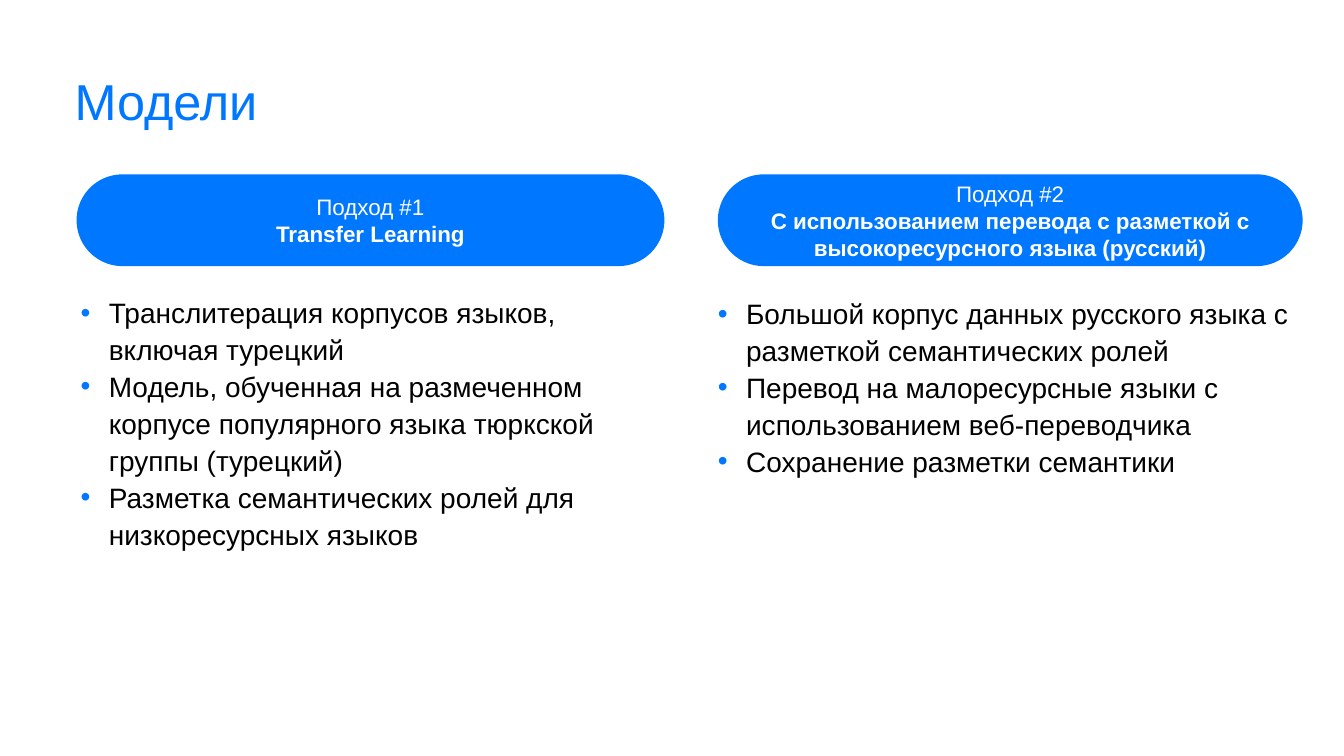
from pptx import Presentation
from pptx.dml.color import RGBColor as RGB
from pptx.enum.shapes import MSO_SHAPE as Shape
from pptx.enum.text import MSO_ANCHOR as Anchor, PP_ALIGN as Align
from pptx.util import Inches, Pt
from lxml.etree import SubElement as Sub
from pptx.oxml.ns import qn

# Content
TITLE = "Модели"
COLS = [
    {
        "head": ("Подход #1", "Transfer Learning"),
        "pill": (0.76, 5.83),
        "list": (0.8, 2.9),
        "items": [
            "Транслитерация корпусов языков, включая турецкий",
            "Модель, обученная на размеченном корпусе популярного языка "
            "тюркской группы (турецкий)",
            "Разметка семантических ролей для низкоресурсных языков",
        ],
    },
    {
        "head": ("Подход #2", "С использованием перевода с разметкой с "
                 "высокоресурсного языка (русский)"),
        "pill": (7.12, 5.8),
        "list": (7.12, 2.91),
        "items": [
            "Большой корпус данных русского языка с разметкой "
            "семантических ролей",
            "Перевод на малоресурсные языки с использованием "
            "веб-переводчика",
            "Сохранение разметки семантики",
        ],
    },
]


# Theme
class Theme:
    font = "Arial"
    blue, black, white = "0077FF", "000000", "FFFFFF"
    title, body, head = 36, 20, 16


PILL_Y, PILL_H = 1.73, 0.91
LIST_W, LIST_H = 5.8, 3.83
INDENT = Inches(0.28)


def style(para, size, color, bold=False):
    font = para.font
    font.name, font.size, font.bold = Theme.font, Pt(size), bold
    font.color.rgb = RGB.from_string(color)


def fill_text(frame, lines):
    """Put one line in each paragraph and return the paragraphs."""
    frame.word_wrap = True
    for i, line in enumerate(lines):
        para = frame.add_paragraph() if i else frame.paragraphs[0]
        para.text = line
    return frame.paragraphs


def add_text(slide, box, lines, gap):
    frame = slide.shapes.add_textbox(*map(Inches, box)).text_frame
    frame.margin_left = frame.margin_right = 0
    frame.margin_top = frame.margin_bottom = 0
    paras = fill_text(frame, lines)
    for para in paras:
        para.line_spacing = gap
    return paras


def add_bullet(para):
    props = para._p.get_or_add_pPr()
    props.set("marL", str(INDENT))
    props.set("indent", str(-INDENT))
    Sub(Sub(props, qn("a:buClr")), qn("a:srgbClr"), val=Theme.blue)
    Sub(props, qn("a:buFont"), typeface=Theme.font)
    Sub(props, qn("a:buChar"), char="•")


def add_pill(slide, left, width, lines):
    box = map(Inches, (left, PILL_Y, width, PILL_H))
    pill = slide.shapes.add_shape(Shape.ROUNDED_RECTANGLE, *box)
    pill.adjustments[0] = 0.5
    pill.shadow.inherit = False
    pill.fill.solid()
    pill.fill.fore_color.rgb = RGB.from_string(Theme.blue)
    pill.line.fill.background()
    pill.text_frame.vertical_anchor = Anchor.MIDDLE
    for i, para in enumerate(fill_text(pill.text_frame, lines)):
        para.alignment = Align.CENTER
        style(para, Theme.head, Theme.white, bold=i > 0)


def main():
    deck = Presentation()
    deck.slide_width, deck.slide_height = Inches(13.33), Inches(7.5)
    slide = deck.slides.add_slide(deck.slide_layouts[6])

    # Title
    for para in add_text(slide, (0.74, 0.76, 11.87, 0.7), [TITLE], 0.9):
        style(para, Theme.title, Theme.blue)

    # Two approaches: a pill above a bullet list
    for col in COLS:
        add_pill(slide, *col["pill"], col["head"])
        box = (*col["list"], LIST_W, LIST_H)
        for para in add_text(slide, box, col["items"], 1.1):
            add_bullet(para)
            style(para, Theme.body, Theme.black)

    deck.save("out.pptx")


if __name__ == "__main__":
    main()
